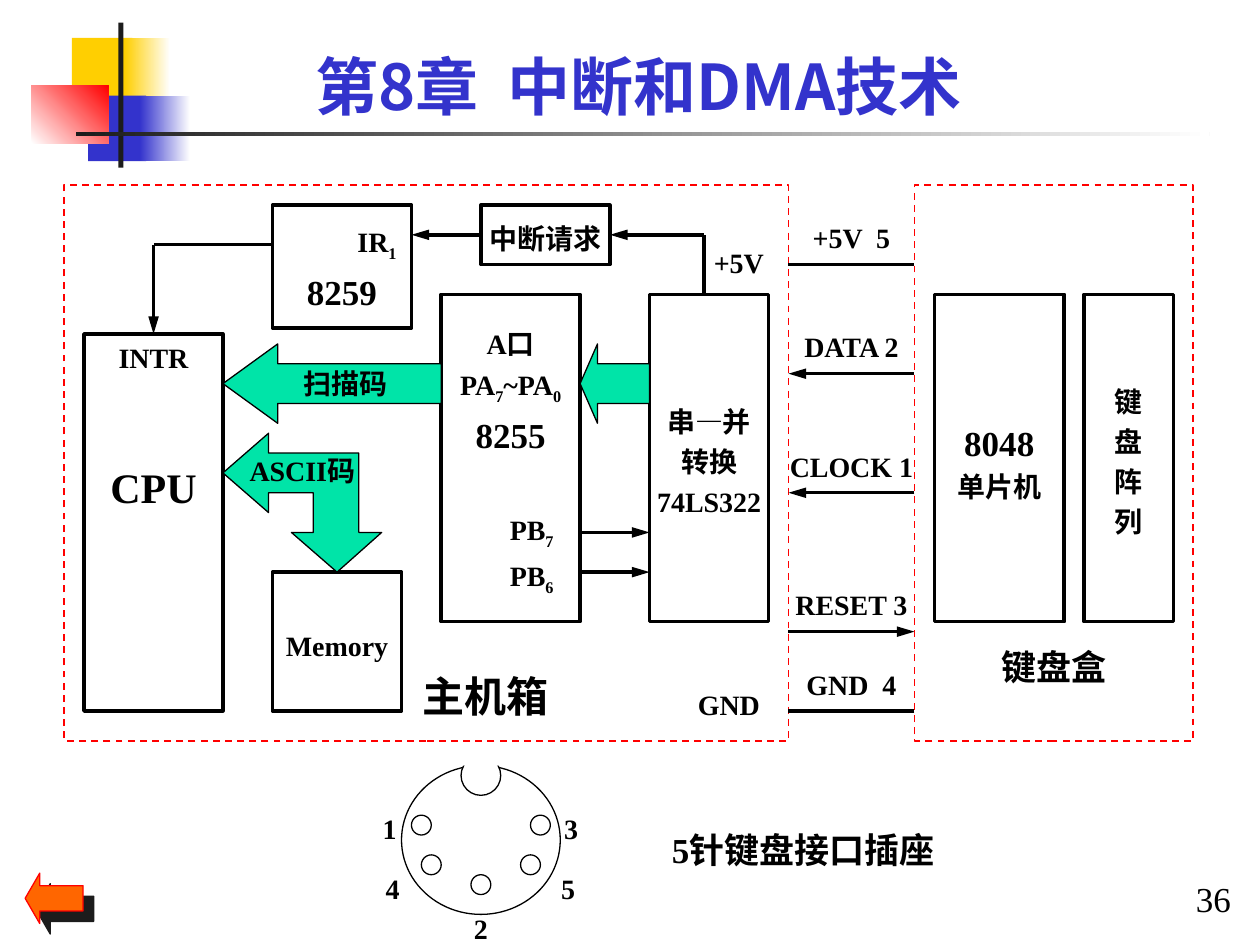
import pptx
import pptx.util
import pptx.dml.color
import pptx.enum.dml
import pptx.enum.shapes
import pptx.enum.text
import pptx.oxml
import pptx.oxml.ns
from dataclasses import dataclass

Pt = pptx.util.Pt
SHAPE = pptx.enum.shapes.MSO_SHAPE
ALIGN = pptx.enum.text.PP_ALIGN
ANCHOR = pptx.enum.text.MSO_ANCHOR
NS = pptx.oxml.ns.nsdecls("a")


@dataclass(frozen=True)
class Theme:
    ink: str = "000000"
    dark: str = "1C1C1C"
    paper: str = "FFFFFF"
    yellow: str = "FFCF01"
    blue: str = "3333CC"
    red: str = "FF0000"
    orange: str = "FF6600"
    green: str = "00E4A8"
    latin: str = "Times New Roman"
    label: str = "Karla"
    cjk: str = "Noto Sans CJK SC"
    small: int = 16
    medium: int = 20
    large: int = 24
    title: int = 36
    thin: float = 0.75
    dash: float = 1
    thick: float = 2


T = Theme()


@dataclass(frozen=True)
class Grid:
    s: object
    left: int
    top: int
    unit: int

    def at(self, col, row):
        return int(self.left + col * self.unit), int(self.top + row * self.unit)

    def box(self, col, row, cols, rows):
        return *self.at(col, row), int(cols * self.unit), int(rows * self.unit)

    def sub(self, col, row):
        return Grid(self.s, *self.at(col, row), self.unit)


def assign(obj, values):
    for name, value in values.items():
        setattr(obj, name, value)


def rgb(color):
    return pptx.dml.color.RGBColor.from_string(color)


def para(text, size=T.small, **fmt):
    return text, size, fmt


def add_run(p, text, size, font, color, bold, sub=False):
    r = p.add_run()
    r.text = text
    assign(r.font, {"size": Pt(size), "name": font, "bold": bold})
    r.font.color.rgb = rgb(color)
    rPr = r.font._element
    if sub:
        rPr.set("baseline", "-25000")
    rPr.append(pptx.oxml.parse_xml(f'<a:ea {NS} typeface="{T.cjk}"/>'))


def write(sp, paras, spacing=1.2, anchor=ANCHOR.MIDDLE, font=T.latin, color=T.ink, bold=True, top=0):
    tf = sp.text_frame
    assign(tf, {"word_wrap": True, "vertical_anchor": anchor, "margin_left": 0,
                "margin_right": 0, "margin_top": top, "margin_bottom": 0})
    for i, (text, size, fmt) in enumerate(paras):
        p = tf.paragraphs[0] if i == 0 else tf.add_paragraph()
        values = {"alignment": ALIGN.CENTER, "line_spacing": spacing, **fmt}
        indent = values.pop("indent", 0)
        assign(p, values)
        if indent:
            p._p.get_or_add_pPr().set("marL", str(Pt(indent)))
        first, *rest = text.split("_")
        add_run(p, first, size, font, color, bold)
        for part in rest:
            add_run(p, part[0], size, font, color, bold, sub=True)
            if part[1:]:
                add_run(p, part[1:], size, font, color, bold)


def paint(sp, fill=None, line=None, width=T.thin, dashed=False):
    sp.shadow.inherit = False
    if isinstance(fill, tuple):
        *colors, angle = fill
        sp.fill.gradient()
        sp.fill.gradient_angle = angle
        for stop, color in zip(sp.fill.gradient_stops, colors):
            stop.color.rgb = rgb(color)
    elif fill:
        sp.fill.solid()
        sp.fill.fore_color.rgb = rgb(fill)
    else:
        sp.fill.background()
    if line:
        sp.line.color.rgb = rgb(line)
        sp.line.width = Pt(width)
        if dashed:
            sp.line.dash_style = pptx.enum.dml.MSO_LINE.DASH
    else:
        sp.line.fill.background()


def shape(g, kind, box, adj=(), **style):
    sp = g.s.shapes.add_shape(kind, *g.box(*box))
    for i, value in enumerate(adj):
        sp.adjustments[i] = value
    paint(sp, **style)
    return sp


def block(g, box, *paras, **fmt):
    sp = shape(g, SHAPE.RECTANGLE, box, line=T.ink, width=T.thick)
    write(sp, paras, **fmt)
    return sp


def label(g, box, text, size=T.small, **fmt):
    write(g.s.shapes.add_textbox(*g.box(*box)), [para(text, size)], **fmt)


def wire(g, start, end, arrow=False, begin=None, finish=None):
    c = g.s.shapes.add_connector(pptx.enum.shapes.MSO_CONNECTOR.STRAIGHT, *g.at(*start), *g.at(*end))
    c.line.color.rgb = rgb(T.ink)
    c.line.width = Pt(T.thick)
    if begin:
        c.begin_connect(*begin)
    if finish:
        c.end_connect(*finish)
    if arrow:
        c.line._get_or_add_ln().append(
            pptx.oxml.parse_xml(f'<a:tailEnd {NS} type="triangle" w="med" len="lg"/>'))
    c._element.spPr.append(pptx.oxml.parse_xml(f"<a:effectLst {NS}/>"))


def decoration(g):
    for box, fill in [
        ((5.7, 3, 4.8, 5.2), T.yellow),
        ((9.9, 3, 3.6, 5.2), (T.yellow, T.paper, 0)),
        ((7, 7.6, 4.6, 5.2), T.blue),
        ((11.1, 7.6, 4, 5.2), (T.blue, T.paper, 0)),
        ((2.5, 6.8, 6.1, 4.6), (T.paper, T.red, 45)),
        ((9.4, 1.8, 0.4, 11.5), T.dark),
        ((6, 10.5, 90, 0.3), (T.dark, T.paper, 0)),
    ]:
        shape(g, SHAPE.RECTANGLE, box, fill=fill)


def heading(g, text):
    sp = g.s.shapes.title
    assign(sp, dict(zip(("left", "top", "width", "height"), g.box(13.8, 3.8, 73.8, 6))))
    write(sp, [para(text, T.title)], spacing=1, font=T.cjk, color=T.blue)


def host(g):
    shape(g, SHAPE.RECTANGLE, (0, 0, 73, 56), line=T.red, width=T.dash, dashed=True)
    cpu = block(g, (2, 15, 14, 38), para("INTR"),
                para("CPU", T.large, space_before=Pt(44)), anchor=ANCHOR.TOP)
    block(g, (21, 2, 14, 12.4), para("IR_1", indent=40, line_spacing=1.5),
          para("8259", T.medium), anchor=ANCHOR.TOP)
    block(g, (21, 39, 13, 14), para("Memory"))
    block(g, (38, 11, 14, 33), para("A口"), para("PA_7~PA_0"), para("8255", T.medium),
          para("PB_7", indent=24, space_before=Pt(28)), para("PB_6", indent=24))
    block(g, (59, 11, 12, 33), para("串—并"), para("转换"), para("74LS322"))
    request = block(g, (42, 2, 13, 6), para("中断请求"))

    wire(g, (21, 6), (9, 6))
    wire(g, (9, 6), (9, 15), arrow=True, finish=(cpu, 0))
    wire(g, (42, 5), (35, 5), arrow=True, begin=(request, 1))
    wire(g, (64.5, 11), (64.5, 5))
    wire(g, (64.5, 5), (55, 5), arrow=True, finish=(request, 3))
    for row in (35, 39):
        wire(g, (52, row), (59, row), arrow=True)

    green = {"fill": T.green, "line": T.ink}
    shape(g, SHAPE.LEFT_ARROW, (52, 16, 7, 8), (0.5, 0.25), **green)
    scan = shape(g, SHAPE.LEFT_ARROW, (16, 16, 22, 8), (0.5, 0.69), **green)
    write(scan, [para("扫描码")], spacing=1, font=T.label)
    code_arrow(g.sub(16, 25), green)

    label(g, (64, 6.5, 8, 3), "+5V", spacing=0.9)
    label(g, (63, 51, 8, 3), "GND", spacing=0.9)
    label(g, (35, 49.5, 15, 4.6), "主机箱", T.large, spacing=0.9, font=T.label)


def code_arrow(g, style):
    start, *rest = [g.at(*point) for point in [
        (0, 4), (4.6, 0), (4.6, 2), (13.7, 2), (13.7, 10), (16, 10),
        (11.5, 14), (6.9, 10), (9.1, 10), (9.1, 6), (4.6, 6), (4.6, 8)]]
    fb = g.s.shapes.build_freeform(*start)
    fb.add_line_segments(rest, close=True)
    sp = fb.convert_to_shape()
    paint(sp, **style)
    write(sp, [para("ASCII码")], spacing=1, anchor=ANCHOR.TOP, top=2 * g.unit)


def cable(g, cols):
    for row, text, direction in [(8, "+5V  5", None), (19, "DATA 2", "in"), (31, "CLOCK 1", "in"),
                                 (45, "RESET 3", "out"), (53, "GND  4", None)]:
        label(g, (0, row - 4, cols, 3), text, spacing=0.9)
        start, end = ((0, row), (cols, row)) if direction == "out" else ((cols, row), (0, row))
        wire(g, start, end, arrow=bool(direction))


def keyboard(g):
    shape(g, SHAPE.RECTANGLE, (0, 0, 28.1, 56), line=T.red, width=T.dash, dashed=True)
    block(g, (2, 11, 13.1, 33), para("8048", T.medium), para("单片机"))
    block(g, (17.1, 11, 9, 33), *map(para, "键盘阵列"))
    label(g, (0, 46, 28.1, 5), "键盘盒", T.medium, spacing=1, font=T.label)


def socket(g):
    shape(g, SHAPE.OVAL, (0, 0, 16, 15), line=T.ink)
    shape(g, SHAPE.OVAL, (6, -1, 4, 4), fill=T.paper, line=T.ink)
    shape(g, SHAPE.RECTANGLE, (5, -2, 7, 2), fill=T.paper)
    for number, pin, center, row in [("1", (1, 5), -1.2, 4), ("4", (2, 9), -0.9, 10),
                                     ("2", (7, 11), 8, 14), ("5", (12, 9), 16.8, 10),
                                     ("3", (13, 5), 17.1, 4)]:
        shape(g, SHAPE.OVAL, (*pin, 2, 2), line=T.ink)
        label(g, (center - 1, row, 2, 4), number, anchor=ANCHOR.TOP)
    label(g, (23, 5.5, 35, 5), "5针键盘接口插座", T.medium, anchor=ANCHOR.TOP)


def footer(g):
    sp = shape(g, SHAPE.LEFT_ARROW, (2, 69.3, 4.6, 4), (0.5, 0.29), fill=T.orange, line=T.red)
    sp._element.spPr.find(pptx.oxml.ns.qn("a:effectLst")).append(pptx.oxml.parse_xml(
        f'<a:outerShdw {NS} dist="{Pt(8.5)}" dir="2700000" algn="ctr" rotWithShape="0">'
        f'<a:srgbClr val="{T.dark}"/></a:outerShdw>'))
    label(g, (94.3, 69.6, 4, 3.4), "36", T.medium, spacing=1, bold=False)


def main():
    prs = pptx.Presentation()
    assign(prs, {"slide_width": pptx.util.Inches(10), "slide_height": pptx.util.Inches(7.5)})
    s = prs.slides.add_slide(prs.slide_layouts[5])
    page = Grid(s, 0, 0, prs.slide_width // 100)
    diagram = Grid(s, *page.at(5.1, 14.7), pptx.util.Mm(2))
    decoration(page)
    heading(page, "第8章  中断和DMA技术")
    host(diagram)
    cable(diagram.sub(73, 0), 12.7)
    keyboard(diagram.sub(85.7, 0))
    socket(diagram.sub(34, 58.5))
    footer(page)
    prs.save("out.pptx")


if __name__ == "__main__":
    main()
